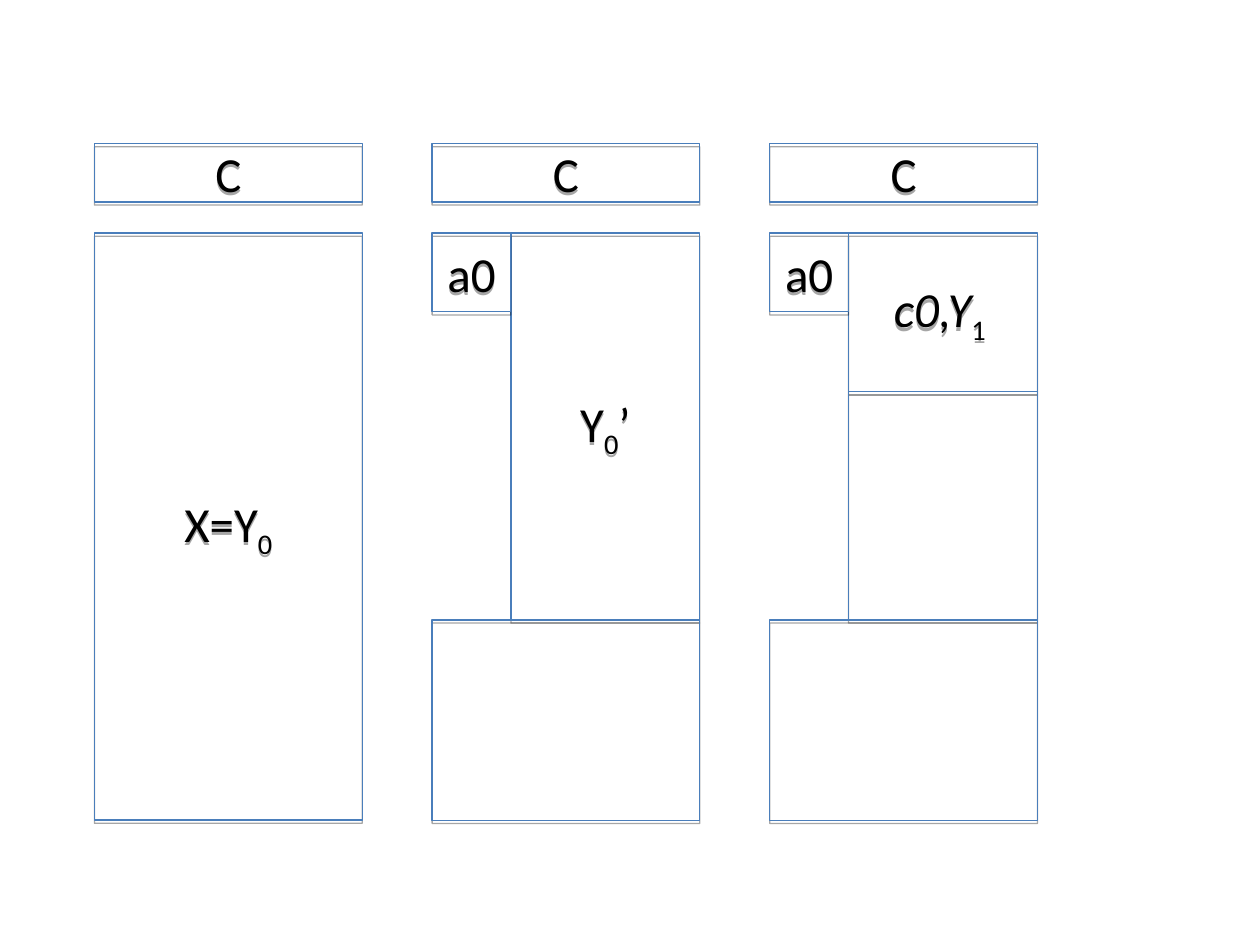
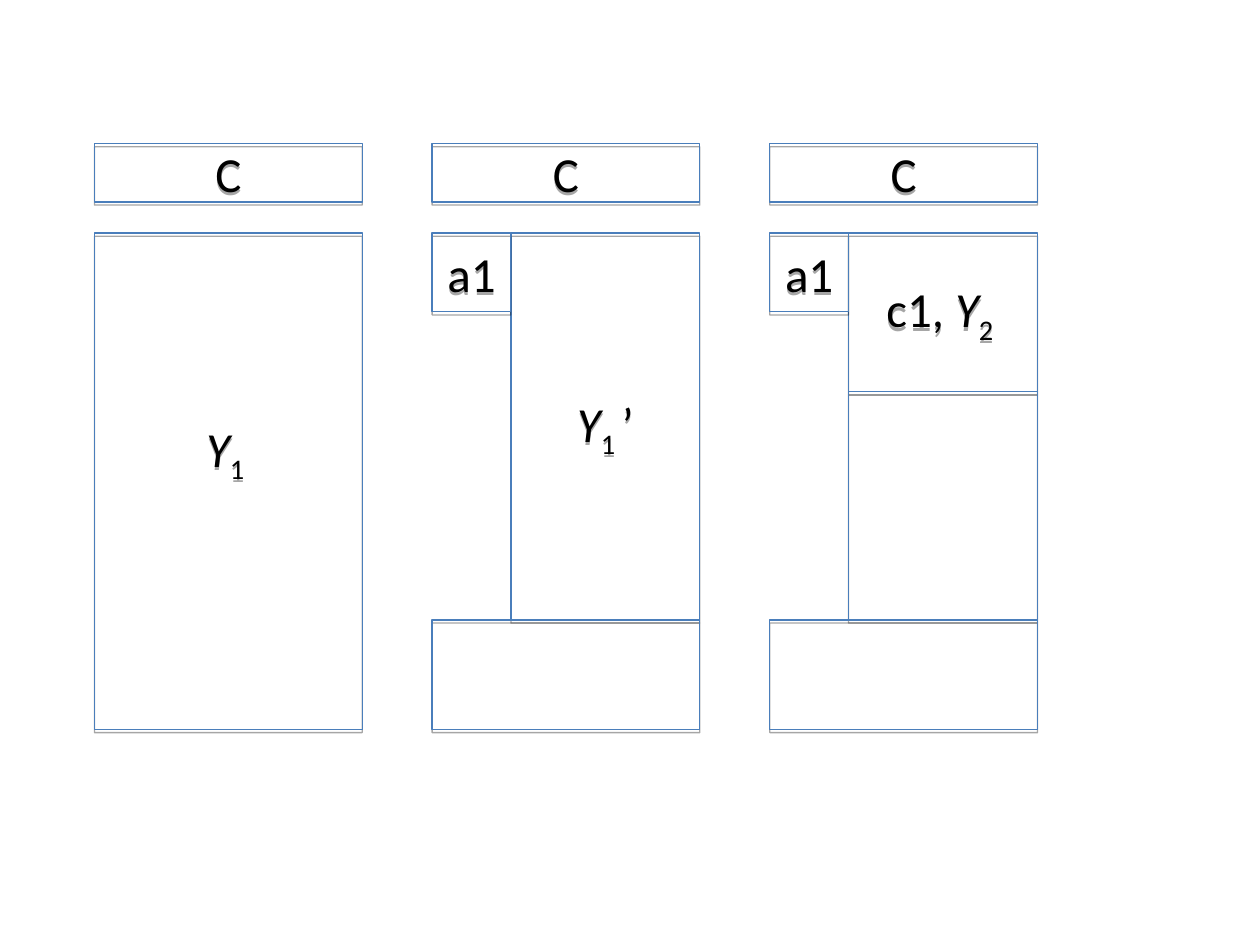
from dataclasses import dataclass

from lxml import etree
from pptx import Presentation
from pptx.dml.color import RGBColor
from pptx.enum.shapes import MSO_SHAPE
from pptx.enum.text import MSO_ANCHOR, PP_ALIGN
from pptx.oxml.ns import qn
from pptx.util import Inches, Pt

RECT = MSO_SHAPE.RECTANGLE
CENTER = PP_ALIGN.CENTER
MIDDLE = MSO_ANCHOR.MIDDLE


@dataclass(frozen=True)
class Theme:
    font: str = "Calibri"
    size: float = 28
    text: RGBColor = RGBColor(0x00, 0x00, 0x00)
    line: RGBColor = RGBColor(0x4A, 0x7E, 0xBB)
    line_width: float = 0.75
    shadow: str = "000000"
    shadow_alpha: int = 35
    shadow_distance: float = 1.8


@dataclass(frozen=True)
class Run:
    text: str
    italic: bool = False
    sub: bool = False


@dataclass(frozen=True)
class Box:
    """A block in grid cells, measured from the left edge of its panel."""
    col: float
    row: float
    cols: float
    rows: float
    runs: tuple[Run, ...] = ()
    lift: float = 0  # extra bottom inset, in cells


@dataclass(frozen=True)
class Step:
    """One slide: the whole block, its pivot, and the two later labels."""
    whole: tuple[Run, ...]
    pivot: str
    remainder: tuple[Run, ...]
    solved: tuple[Run, ...]
    bottom: float
    lift: float = 0


THEME = Theme()

# Grid: cells of 1/8 inch, three panels side by side
CELL = 1 / 8
PANEL_LEFT, PANEL_PITCH, PANEL_COLS = 6, 21.44, 17
HEAD_TOP, HEAD_ROWS = 9.12, 3.7
TOP, SOLVED_END, SPLIT = 14.8, 24.88, 39.36
PIVOT = 5
REST_COLS = PANEL_COLS - PIVOT

Y1 = (Run("Y", italic=True), Run("1 ", sub=True))
STEPS = (
    Step(whole=(Run("X=Y"), Run("0", sub=True)),
         pivot="a0",
         remainder=(Run("Y"), Run("0", sub=True), Run("’")),
         solved=(Run("c0,Y", italic=True), Run("1 ", sub=True)),
         bottom=52.08),
    Step(whole=Y1,
         pivot="a1",
         remainder=(*Y1, Run("’")),
         solved=(Run("c1,"), Run(" Y", italic=True), Run("2 ", sub=True)),
         bottom=46.32,
         lift=3.76),
)


def cells(n: float) -> int:
    return Inches(n * CELL)


def add_shadow(s) -> None:
    """Give a shape a hard shadow straight below it."""
    s.shadow.inherit = False
    effects = s._element.spPr.find(qn("a:effectLst"))
    shadow = etree.SubElement(effects, qn("a:outerShdw"), blurRad="0",
                              dist=str(Pt(THEME.shadow_distance)),
                              dir="5400000", rotWithShape="0")
    color = etree.SubElement(shadow, qn("a:srgbClr"), val=THEME.shadow)
    etree.SubElement(color, qn("a:alpha"), val=str(THEME.shadow_alpha * 1000))


def add_run(p, run: Run) -> None:
    r = p.add_run()
    r.text = run.text
    r.font.name = THEME.font
    r.font.size = Pt(THEME.size)
    r.font.color.rgb = THEME.text
    r.font.italic = run.italic
    if run.sub:
        r.font._element.set("baseline", "-25000")


def add_box(slide, panel: int, box: Box) -> None:
    left = PANEL_LEFT + panel * PANEL_PITCH + box.col
    s = slide.shapes.add_shape(RECT, cells(left), cells(box.row),
                               cells(box.cols), cells(box.rows))
    s.fill.background()
    s.line.color.rgb = THEME.line
    s.line.width = Pt(THEME.line_width)
    add_shadow(s)
    if not box.runs:
        return
    tf = s.text_frame
    tf.word_wrap = True
    tf.vertical_anchor = MIDDLE
    tf.margin_bottom += cells(box.lift)
    p = tf.paragraphs[0]
    p.alignment = CENTER
    for run in box.runs:
        add_run(p, run)


def panels(step: Step) -> tuple[tuple[Box, ...], ...]:
    """Blocks of the three panels: whole, split, then solved."""
    head = Box(0, HEAD_TOP, PANEL_COLS, HEAD_ROWS, (Run("C"),))
    whole = Box(0, TOP, PANEL_COLS, step.bottom - TOP, step.whole, step.lift)
    pivot = Box(0, TOP, PIVOT, PIVOT, (Run(step.pivot),))
    remainder = Box(PIVOT, TOP, REST_COLS, SPLIT - TOP, step.remainder)
    solved = Box(PIVOT, TOP, REST_COLS, SOLVED_END - TOP, step.solved)
    unsolved = Box(PIVOT, SOLVED_END, REST_COLS, SPLIT - SOLVED_END)
    lower = Box(0, SPLIT, PANEL_COLS, step.bottom - SPLIT)
    return ((head, whole),
            (head, remainder, pivot, lower),
            (head, solved, pivot, unsolved, lower))


def main() -> None:
    prs = Presentation()
    prs.slide_width, prs.slide_height = Inches(10), Inches(7.5)
    for step in STEPS:
        slide = prs.slides.add_slide(prs.slide_layouts[6])
        for panel, boxes in enumerate(panels(step)):
            for box in boxes:
                add_box(slide, panel, box)
    prs.save("out.pptx")


if __name__ == "__main__":
    main()
